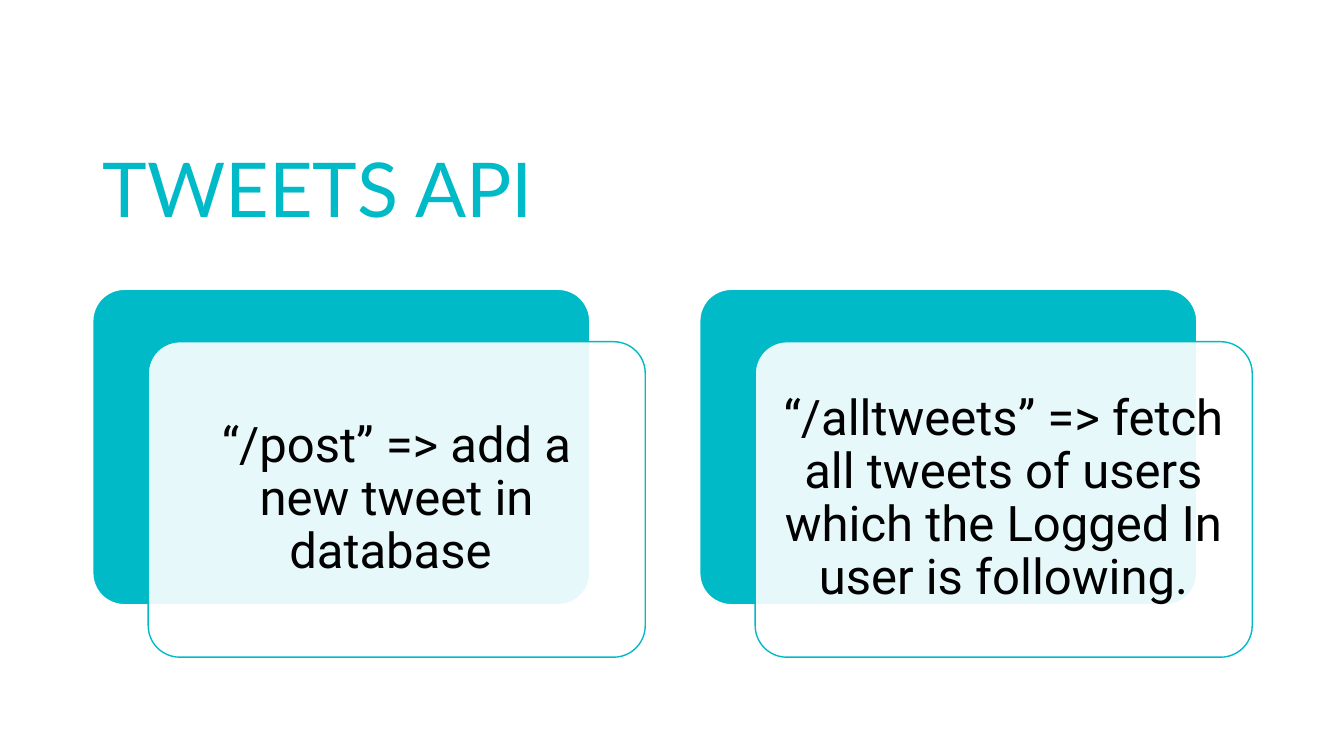
import pptx
import pptx.util
import pptx.dml.color
import pptx.enum.shapes
import pptx.enum.text
import pptx.oxml.ns
import lxml.etree

SCALE = 9144
TEAL = pptx.dml.color.RGBColor(0x00, 0xBA, 0xC8)
WHITE = pptx.dml.color.RGBColor(0xFF, 0xFF, 0xFF)
BLACK = pptx.dml.color.RGBColor(0x00, 0x00, 0x00)
ANCHOR = pptx.enum.text.MSO_ANCHOR
ALIGN = pptx.enum.text.PP_ALIGN

LEFT, TOP, STEP = 92, 287, 602
WIDE, HIGH = 493, 313
SHIFT_X, SHIFT_Y, INSET = 55, 52, 9
CARDS = [
    "“/post” => add a new tweet in database ",
    "“/alltweets” => fetch all tweets of users which the Logged In user is following.",
]


def px(*sizes):
    return [pptx.util.Emu(size * SCALE) for size in sizes]


def style(item, values):
    for name, value in values.items():
        setattr(item, name, value)


def add_text(slide, box, text, frame, para, font, color):
    area = slide.shapes.add_textbox(*px(*box)).text_frame
    style(area, {"word_wrap": True, **frame})
    line = area.paragraphs[0]
    style(line, para)
    run = line.add_run()
    run.text = text
    style(run.font, font)
    run.font.color.rgb = color


def add_panel(slide, box, fill, edge, alpha=100):
    kind = pptx.enum.shapes.MSO_SHAPE.ROUNDED_RECTANGLE
    panel = slide.shapes.add_shape(kind, *px(*box))
    panel.shadow.inherit = False
    panel.adjustments[0] = 0.1
    panel.fill.solid()
    panel.fill.fore_color.rgb = fill
    panel.line.color.rgb = edge
    panel.line.width = pptx.util.Pt(1)
    if alpha < 100:
        qn = pptx.oxml.ns.qn
        tint = panel.fill._xPr.find(qn("a:solidFill"))[0]
        lxml.etree.SubElement(tint, qn("a:alpha")).set("val", str(alpha * 1000))


def add_card(slide, left, text):
    add_panel(slide, (left, TOP, WIDE, HIGH), TEAL, WHITE)
    x, y = left + SHIFT_X, TOP + SHIFT_Y
    add_panel(slide, (x, y, WIDE, HIGH), WHITE, TEAL, 90)
    pad = px(15)[0]
    sides = ("left", "top", "right", "bottom")
    frame = {f"margin_{side}": pad for side in sides}
    frame["vertical_anchor"] = ANCHOR.MIDDLE
    box = (x + INSET, y + INSET, WIDE - 2 * INSET, HIGH - 2 * INSET)
    para = {"alignment": ALIGN.CENTER, "line_spacing": 0.9}
    font = {"name": "Roboto", "size": pptx.util.Pt(35)}
    add_text(slide, box, text, frame, para, font, BLACK)


def main():
    deck = pptx.Presentation()
    deck.slide_width, deck.slide_height = px(1333, 750)
    slide = deck.slides.add_slide(deck.slide_layouts[6])
    add_text(slide, (LEFT, 40, 1150, 196), "TWEETS API",
             {"vertical_anchor": ANCHOR.BOTTOM}, {"alignment": ALIGN.LEFT},
             {"name": "Lato", "size": pptx.util.Pt(54)}, TEAL)
    for index, text in enumerate(CARDS):
        add_card(slide, LEFT + index * STEP, text)
    deck.save("out.pptx")


if __name__ == "__main__":
    main()
